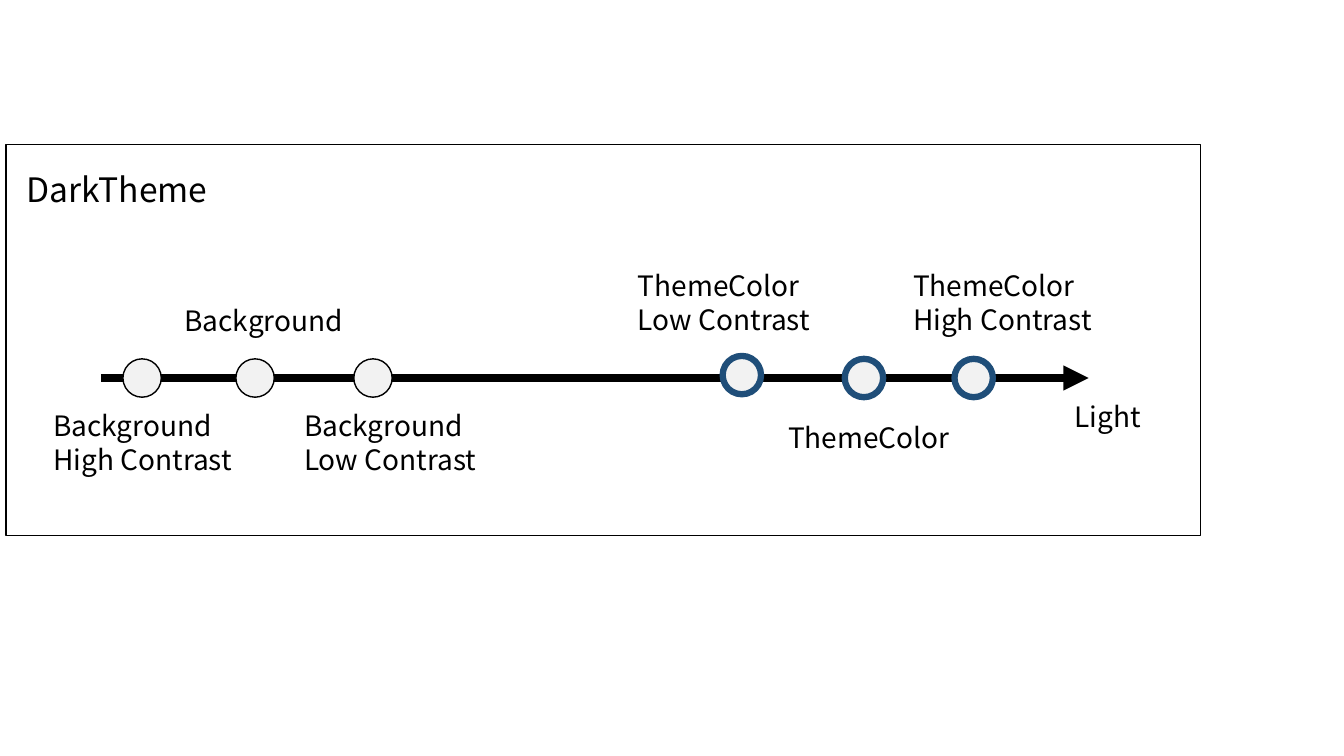
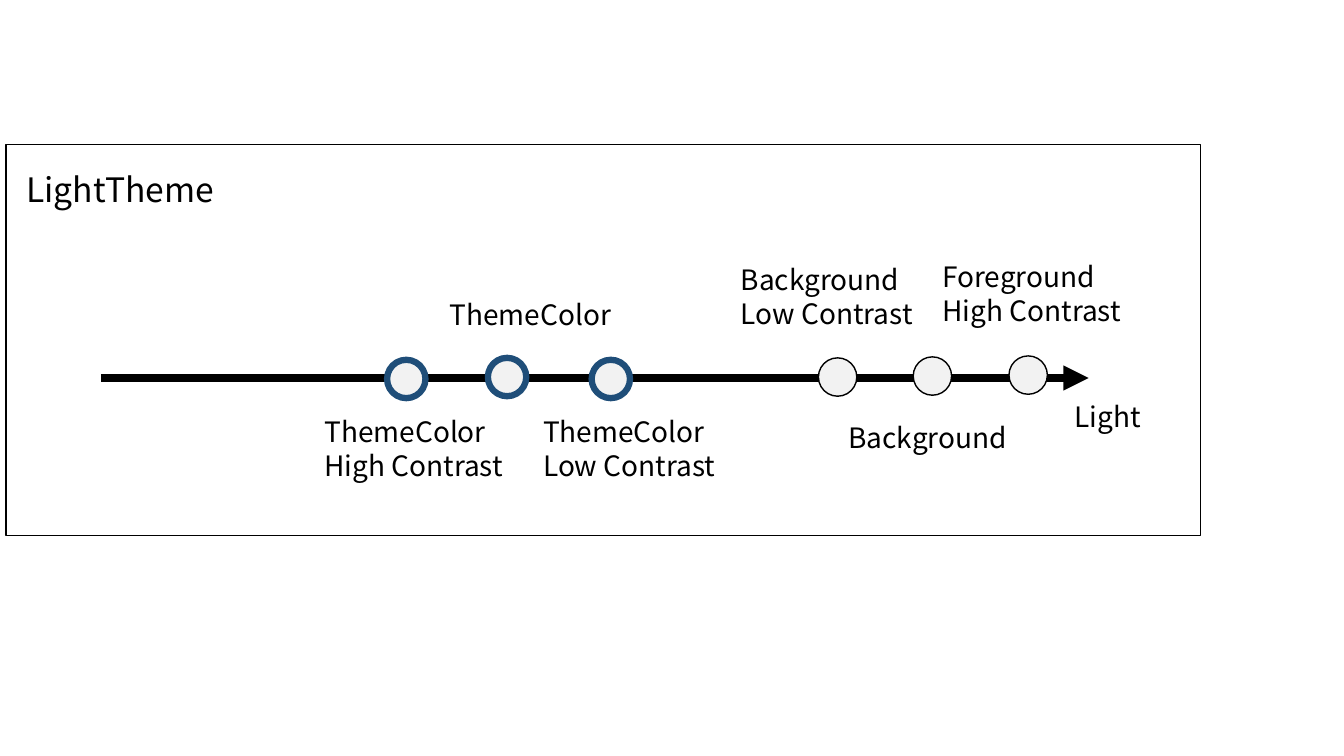
from dataclasses import dataclass

from lxml.etree import SubElement
from pptx import Presentation
from pptx.dml.color import RGBColor
from pptx.enum.shapes import MSO_CONNECTOR, MSO_SHAPE
from pptx.enum.text import MSO_ANCHOR, MSO_AUTO_SIZE, PP_ALIGN
from pptx.oxml.ns import qn
from pptx.slide import Slide
from pptx.util import Pt

# Shared style, lengths in points
FONT = "Noto Sans CJK SC"
BLACK, NAVY, PALE = "000000", "1F4E79", "F2F2F2"
LABEL_SIZE, TITLE_SIZE = 20, 24
LINE_HEIGHT = 1.2
DOT = 27.4
AXIS_START, AXIS_END, AXIS_Y = 72, 777.6, 270
FRAME = (4.3, 103, 853.2, 279.4)
TITLE_BOX = (11.5, 115.2, 152, 36)


@dataclass(frozen=True)
class DotStyle:
    line_color: str
    line_width: float


@dataclass(frozen=True)
class Label:
    lines: tuple[str, ...]
    left: float
    top: float
    width: float


@dataclass(frozen=True)
class Marker:
    style: DotStyle
    left: float
    top: float
    label: Label


@dataclass(frozen=True)
class Theme:
    title: str
    markers: tuple[Marker, ...]


PLAIN = DotStyle(BLACK, 1)
ACCENT = DotStyle(NAVY, 4.5)
LIGHT_END = Label(("Light",), 760.3, 280.1, 64)
LOW, HIGH = "Low Contrast", "High Contrast"
BACKGROUND, THEME_COLOR, FOREGROUND = "Background", "ThemeColor", "Foreground"

# Content of the two slides
THEMES = (
    Theme("DarkTheme", (
        Marker(PLAIN, 87.8, 256.3, Label((BACKGROUND, HIGH), 31, 286.6, 151.2)),
        Marker(PLAIN, 168.5, 256.3, Label((BACKGROUND,), 124.6, 211, 131)),
        Marker(PLAIN, 252.7, 256.3, Label((BACKGROUND, LOW), 210.2, 286.6, 141)),
        Marker(ACCENT, 516.2, 254.2, Label((THEME_COLOR, LOW), 448.6, 186.5, 146)),
        Marker(ACCENT, 603.4, 256.3, Label((THEME_COLOR,), 555.8, 295.2, 134)),
        Marker(ACCENT, 681.8, 256.3, Label((THEME_COLOR, HIGH), 645.1, 186.5, 146)),
    )),
    Theme("LightTheme", (
        Marker(ACCENT, 276.5, 257, Label((THEME_COLOR, HIGH), 224.6, 290.9, 151.2)),
        Marker(ACCENT, 348.5, 255.6, Label((THEME_COLOR,), 313.9, 207.4, 134)),
        Marker(ACCENT, 422.6, 257, Label((THEME_COLOR, LOW), 380.9, 290.9, 146)),
        Marker(PLAIN, 584.6, 255.6, Label((BACKGROUND, LOW), 522, 182.2, 141)),
        Marker(PLAIN, 652.3, 254.9, Label((BACKGROUND,), 599, 295.2, 131)),
        Marker(PLAIN, 720.7, 254.2, Label((FOREGROUND, HIGH), 666, 180, 146)),
    )),
)


def color(value: str) -> RGBColor:
    return RGBColor.from_string(value)


def write_lines(box, lines: tuple[str, ...], size: float) -> None:
    """Write left-aligned lines, one paragraph each."""
    frame = box.text_frame
    frame.word_wrap = True
    frame.auto_size = MSO_AUTO_SIZE.NONE
    frame.vertical_anchor = MSO_ANCHOR.TOP
    frame.margin_left = frame.margin_right = Pt(7.2)
    # Fixed line heights sit high, so the text is shifted down a little
    shift = size * 0.09
    frame.margin_top, frame.margin_bottom = Pt(3.6 + shift), Pt(3.6 - shift)
    for index, line in enumerate(lines):
        para = frame.add_paragraph() if index else frame.paragraphs[0]
        para.alignment = PP_ALIGN.LEFT
        para.line_spacing = Pt(size * LINE_HEIGHT)
        para.space_before = para.space_after = Pt(0)
        span = para.add_run()
        span.text = line
        span.font.name = FONT
        span.font.size = Pt(size)
        span.font.color.rgb = color(BLACK)


def add_title(page: Slide, text: str) -> None:
    title = page.shapes.title
    title.left, title.top, title.width, title.height = map(Pt, TITLE_BOX)
    write_lines(title, (text,), TITLE_SIZE)


def add_frame(page: Slide) -> None:
    border = page.shapes.add_shape(MSO_SHAPE.RECTANGLE, *map(Pt, FRAME))
    border.shadow.inherit = False
    border.fill.background()
    border.line.color.rgb = color(BLACK)
    border.line.width = Pt(1)


def add_axis(page: Slide) -> None:
    axis = page.shapes.add_connector(
        MSO_CONNECTOR.STRAIGHT,
        Pt(AXIS_START), Pt(AXIS_Y), Pt(AXIS_END), Pt(AXIS_Y))
    axis.line.color.rgb = color(BLACK)
    axis.line.width = Pt(6)
    SubElement(axis.line._get_or_add_ln(), qn("a:tailEnd"), type="triangle")
    SubElement(axis._element.spPr, qn("a:effectLst"))


def add_label(page: Slide, label: Label) -> None:
    height = len(label.lines) * LABEL_SIZE * LINE_HEIGHT + 7.2
    box = page.shapes.add_textbox(
        Pt(label.left), Pt(label.top), Pt(label.width), Pt(height))
    write_lines(box, label.lines, LABEL_SIZE)


def add_marker(page: Slide, marker: Marker) -> None:
    dot = page.shapes.add_shape(
        MSO_SHAPE.OVAL, Pt(marker.left), Pt(marker.top), Pt(DOT), Pt(DOT))
    dot.shadow.inherit = False
    dot.fill.solid()
    dot.fill.fore_color.rgb = color(PALE)
    dot.line.color.rgb = color(marker.style.line_color)
    dot.line.width = Pt(marker.style.line_width)
    add_label(page, marker.label)


# Build the deck
deck = Presentation()
deck.slide_width, deck.slide_height = Pt(960), Pt(540)
title_only = deck.slide_layouts.get_by_name("Title Only")
for theme in THEMES:
    page = deck.slides.add_slide(title_only)
    add_title(page, theme.title)
    add_frame(page)
    add_axis(page)
    for marker in theme.markers:
        add_marker(page, marker)
    add_label(page, LIGHT_END)
deck.save("out.pptx")
